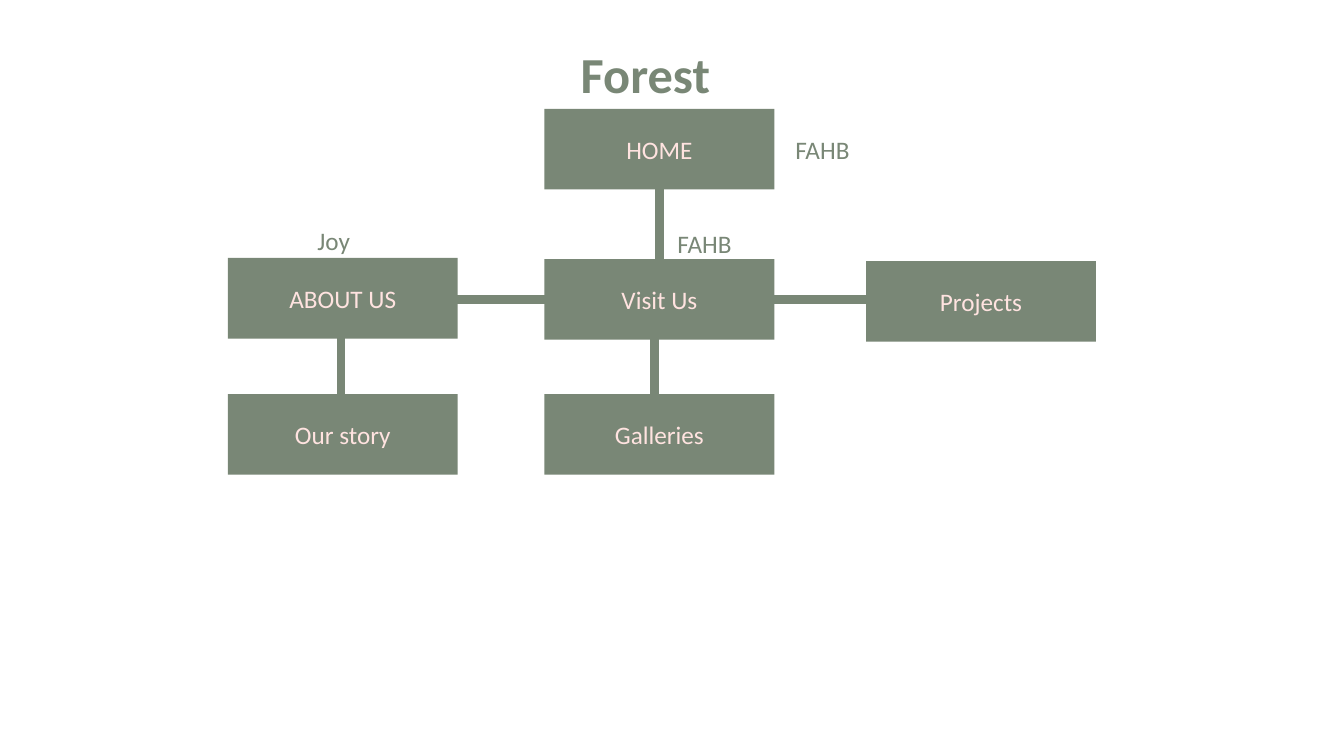
"""Draw the Forest site map on a grid whose columns and rows are one inch each."""
import dataclasses

import lxml.etree
import pptx
import pptx.dml.color
import pptx.enum.shapes
import pptx.enum.text
import pptx.oxml.ns
import pptx.util

GREEN = "798776"
PINK = "FFE3E0"
SLIDE_COLUMNS, SLIDE_ROWS = 13.33, 7.5
BOX_COLUMNS, BOX_ROWS = 2.28, 0.8
LABEL_COLUMNS, LABEL_ROWS = 1.66, 0.4
LEFT, MIDDLE, RIGHT = 2.26, 5.4, 8.59
TOP, CENTRE, BOTTOM = 1.08, 2.57, 3.91
LINK_ROW, LINK_COLUMNS = 2.97, 1.78
DROP_ROW = 3.22
PLAIN = {"size": pptx.util.Pt(18), "name": "Calibri", "bold": False}
HEADING = {"size": pptx.util.Pt(36), "name": "Calibri", "bold": True}
LEFT_TOP = {"word_wrap": True, "vertical_anchor": pptx.enum.text.MSO_ANCHOR.TOP,
            "auto_size": pptx.enum.text.MSO_AUTO_SIZE.SHAPE_TO_FIT_TEXT}
CENTRED = {"word_wrap": True, "vertical_anchor": pptx.enum.text.MSO_ANCHOR.MIDDLE}


@dataclasses.dataclass(frozen=True)
class Item:
    """A piece of text placed at a grid column and row."""
    text: str
    column: float
    row: float


@dataclasses.dataclass(frozen=True)
class Line:
    """A straight line between two grid points."""
    column: float
    row: float
    end_column: float
    end_row: float


BOXES = (
    Item("Projects", RIGHT, CENTRE + 0.02),
    Item("HOME", MIDDLE, TOP),
    Item("Our story", LEFT, BOTTOM),
    Item("ABOUT US", LEFT, CENTRE - 0.01),
    Item("Galleries", MIDDLE, BOTTOM),
    Item("Visit Us", MIDDLE, CENTRE),
)
LABELS = (Item("FAHB", 7.79, 1.28), Item("Joy", 3.05, 2.19), Item("FAHB", 6.62, 2.22))
LINES = (
    *(Line(column, LINK_ROW, column + LINK_COLUMNS, LINK_ROW)
      for column in (3.89, MIDDLE + BOX_COLUMNS)),
    *(Line(column, DROP_ROW, column, BOTTOM) for column in (3.38, 6.49)),
)


def colour(value: str) -> pptx.dml.color.RGBColor:
    """Turn a hex string into a colour."""
    return pptx.dml.color.RGBColor.from_string(value)


def grid(*cells: float) -> list[pptx.util.Length]:
    """Turn grid columns or rows into lengths."""
    return [pptx.util.Inches(cell) for cell in cells]


def apply(target: object, values: dict) -> None:
    """Set each named attribute on the target."""
    for name, value in values.items():
        setattr(target, name, value)


def write(shape, text: str, ink: str, font: dict, frame: dict,
          align=pptx.enum.text.PP_ALIGN.LEFT) -> None:
    """Put one formatted paragraph into a shape."""
    apply(shape.text_frame, frame)
    para = shape.text_frame.paragraphs[0]
    para.alignment = align
    span = para.add_run()
    span.text = text
    apply(span.font, font)
    span.font.color.rgb = colour(ink)


def draw_line(page, line: Line):
    """Draw a thick green line without a shadow."""
    link = page.shapes.add_connector(
        pptx.enum.shapes.MSO_CONNECTOR.STRAIGHT,
        *grid(line.column, line.row, line.end_column, line.end_row))
    link.line.color.rgb = colour(GREEN)
    link.line.width = pptx.util.Pt(6)
    lxml.etree.SubElement(link.element.spPr, pptx.oxml.ns.qn("a:effectLst"))
    return link


def draw_box(page, item: Item):
    """Draw a green page box with centred text."""
    box = page.shapes.add_shape(
        pptx.enum.shapes.MSO_SHAPE.RECTANGLE,
        *grid(item.column, item.row, BOX_COLUMNS, BOX_ROWS))
    box.shadow.inherit = False
    box.fill.solid()
    box.fill.fore_color.rgb = colour(GREEN)
    box.line.fill.background()
    write(box, item.text, PINK, PLAIN, CENTRED, pptx.enum.text.PP_ALIGN.CENTER)
    return box


def draw_label(page, item: Item) -> None:
    """Draw a green label beside a box."""
    label = page.shapes.add_textbox(*grid(item.column, item.row, LABEL_COLUMNS, LABEL_ROWS))
    write(label, item.text, GREEN, PLAIN, LEFT_TOP)


def main() -> None:
    """Build and save the site map."""
    deck = pptx.Presentation()
    deck.slide_width, deck.slide_height = grid(SLIDE_COLUMNS, SLIDE_ROWS)
    page = deck.slides.add_slide(deck.slide_layouts.get_by_name("Title Only"))
    title = page.shapes.title
    apply(title, dict(zip(("left", "top", "width", "height"), grid(5.66, 0.38, 1.77, 0.71))))
    write(title, "Forest", GREEN, HEADING, LEFT_TOP)
    for line in LINES:
        draw_line(page, line)
    boxes = {item.text: draw_box(page, item) for item in BOXES}
    stem = draw_line(page, Line(MIDDLE, TOP, MIDDLE, CENTRE))
    stem.begin_connect(boxes["HOME"], 2)
    stem.end_connect(boxes["Visit Us"], 0)
    for item in LABELS:
        draw_label(page, item)
    deck.save("out.pptx")


if __name__ == "__main__":
    main()
